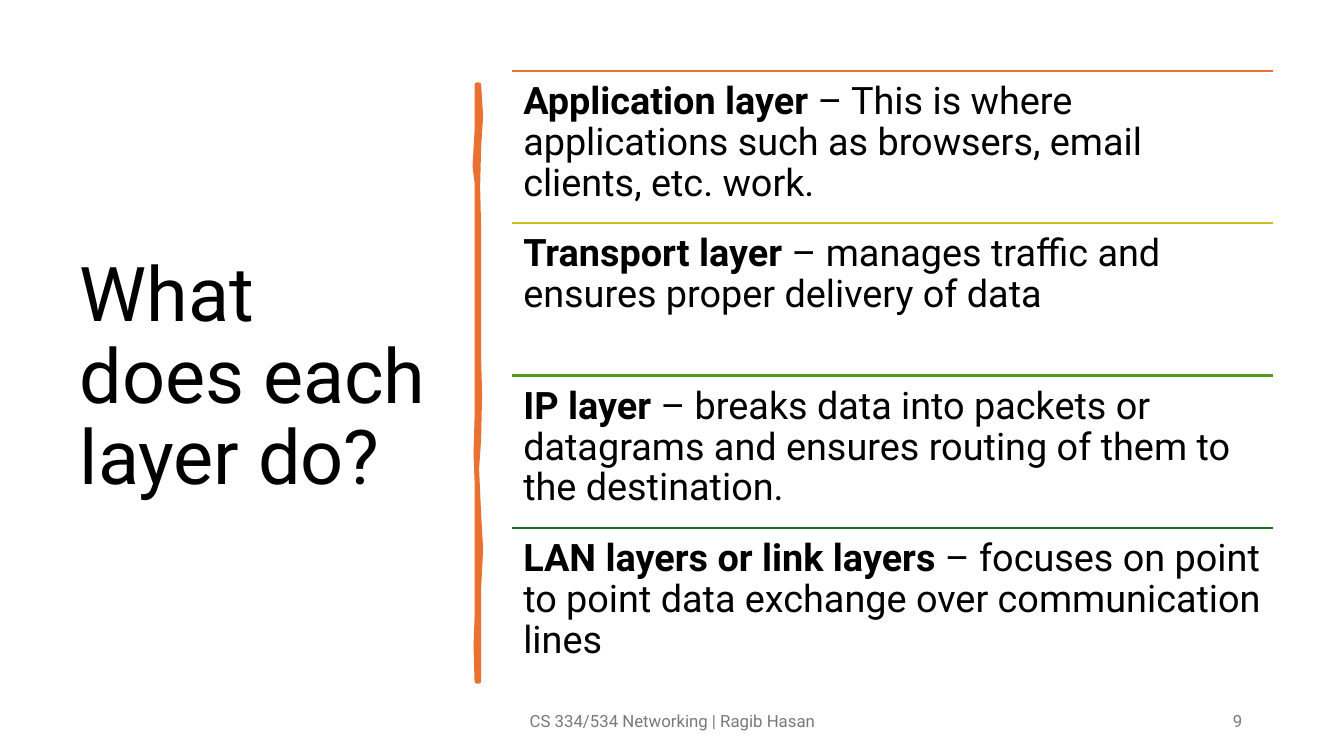
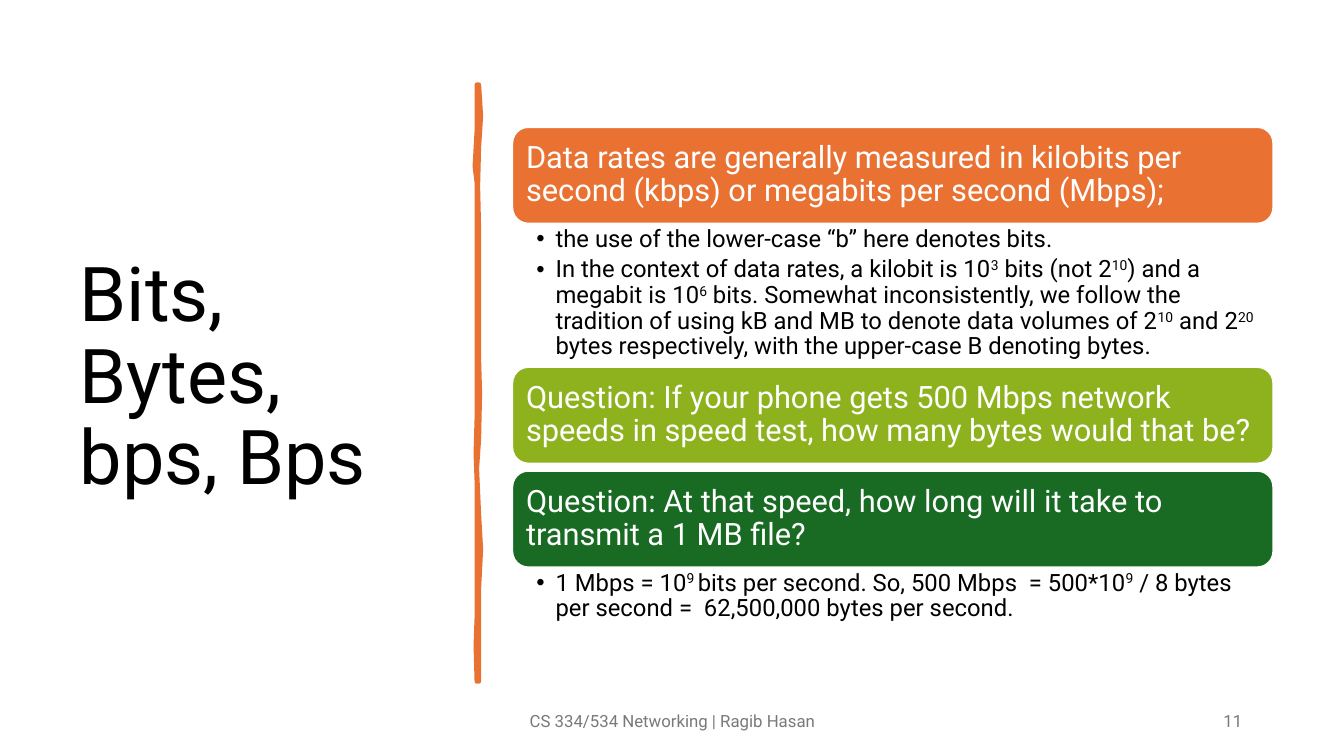
from lxml.etree import SubElement
from pptx import Presentation
from pptx.dml.color import RGBColor
from pptx.enum.shapes import MSO_CONNECTOR, MSO_SHAPE
from pptx.enum.text import MSO_ANCHOR, MSO_AUTO_SIZE, PP_ALIGN
from pptx.oxml.ns import qn
from pptx.util import Inches, Pt

FONT = "Roboto"
BLACK, WHITE, GREY = "000000", "FFFFFF", "797979"
ORANGE, YELLOW, LIME, GREEN, DARK_GREEN = "E97132", "CBC11E", "8EB21E", "56991D", "196B24"
FOOTER = "CS 334/534 Networking | Ragib Hasan"
TITLE_BOX = (0.69, 0.7, 3.74, 6.11)
CONTENT_LEFT, CONTENT_WIDTH = 5.08, 7.55

# Outline of the hand-drawn divider: down the right edge, up the left edge
DIVIDER = [
    (4.75, 0.84), (4.77, 1.15), (4.75, 1.46), (4.74, 1.85), (4.75, 2.26),
    (4.75, 2.94), (4.75, 3.56), (4.76, 3.9), (4.75, 4.36), (4.73, 4.65),
    (4.75, 5.1), (4.77, 5.45), (4.75, 5.84), (4.75, 6.76),
    (4.73, 6.76), (4.72, 6.4), (4.73, 6.13), (4.73, 4.77), (4.72, 4.5),
    (4.73, 4.15), (4.73, 1.81), (4.71, 1.65), (4.73, 1.3), (4.73, 0.84),
]

LAYERS = [
    ("Application layer", " – This is where applications such as browsers, email "
     "clients, etc. work.", ORANGE),
    ("Transport layer", " – manages traffic and ensures proper delivery of data", YELLOW),
    ("IP layer", " – breaks data into packets or datagrams and ensures routing of "
     "them to the destination.", GREEN),
    ("LAN layers or link layers", " – focuses on point to point data exchange over "
     "communication lines", DARK_GREEN),
]

# Heading, colour, bullets, height of bullets or of the gap below.
# Text between carets is superscript.
TOPICS = [
    ("Data rates are generally measured in kilobits per second (kbps) or megabits "
     "per second (Mbps);", ORANGE,
     ["the use of the lower-case “b” here denotes bits.",
      "In the context of data rates, a kilobit is 10^3^ bits (not 2^10^) and a megabit "
      "is 10^6^ bits. Somewhat inconsistently, we follow the tradition of using kB and "
      "MB to denote data volumes of 2^10^ and 2^20^ bytes respectively, with the "
      "upper-case B denoting bytes."], 1.42),
    ("Question: If your phone gets 500 Mbps network speeds in speed test, how many "
     "bytes would that be?", LIME, [], 0.07),
    ("Question: At that speed, how long will it take to transmit a 1 MB file?",
     DARK_GREEN,
     ["1 Mbps = 10^9 ^bits per second. So, 500 Mbps  = 500*10^9^ / 8 bytes per second "
      "=  62,500,000 bytes per second."], 0.59),
]


def rgb(value):
    return RGBColor.from_string(value)


def inches(*values):
    return [Inches(v) for v in values]


def set_frame(tf, insets=(0.1, 0.05, 0.1, 0.05), anchor=MSO_ANCHOR.TOP):
    tf.word_wrap = True
    tf.auto_size = MSO_AUTO_SIZE.NONE
    tf.vertical_anchor = anchor
    tf.margin_left, tf.margin_top, tf.margin_right, tf.margin_bottom = inches(*insets)


def add_text(p, text, size=18, color=BLACK, bold=False, align=PP_ALIGN.LEFT,
             line=0.9, after=0):
    """Append text to a paragraph; parts between carets become superscript."""
    p.alignment, p.line_spacing, p.space_after = align, line, Pt(after)
    for i, part in enumerate(text.split("^")):
        r = p.add_run()
        r.text = part
        r.font.name, r.font.size, r.font.bold = FONT, Pt(size), bold
        r.font.color.rgb = rgb(color)
        if i % 2:
            r.font._element.set("baseline", "30000")


def add_box(s, box, **frame):
    tf = s.shapes.add_textbox(*inches(*box)).text_frame
    set_frame(tf, **frame)
    return tf


def add_bullet(p, indent=0.19):
    pPr = p._p.get_or_add_pPr()
    pPr.set("marL", str(Inches(indent)))
    pPr.set("indent", str(-Inches(indent)))
    SubElement(pPr, qn("a:buFont")).set("typeface", "Arial")
    SubElement(pPr, qn("a:buChar")).set("char", "•")


def add_divider(s):
    points = [inches(x, y) for x, y in DIVIDER]
    builder = s.shapes.build_freeform(*points[0])
    builder.add_line_segments(points[1:], close=True)
    sp = builder.convert_to_shape()
    sp.shadow.inherit = False
    sp.fill.solid()
    sp.fill.fore_color.rgb = sp.line.color.rgb = rgb(ORANGE)
    sp.line.width = Pt(3.25)
    SubElement(sp.line._get_or_add_ln(), qn("a:round"))


def add_footer(s, number):
    for box, text, align in [((4.42, 6.95, 4.5, 0.4), FOOTER, PP_ALIGN.CENTER),
                             ((9.42, 6.95, 3, 0.4), number, PP_ALIGN.RIGHT)]:
        tf = add_box(s, box, anchor=MSO_ANCHOR.MIDDLE)
        add_text(tf.paragraphs[0], text, size=12, color=GREY, align=align,
                 line=1, after=6)


def add_slide(prs, title, number):
    """Start a slide with the shared title, divider and footer."""
    s = prs.slides.add_slide(prs.slide_layouts[5])
    sp = s.shapes.title
    sp.left, sp.top, sp.width, sp.height = inches(*TITLE_BOX)
    set_frame(sp.text_frame, anchor=MSO_ANCHOR.MIDDLE)
    add_text(sp.text_frame.paragraphs[0], title, size=54)
    add_divider(s)
    add_footer(s, number)
    return s


def add_rule(s, left, top, width, color):
    line = s.shapes.add_connector(MSO_CONNECTOR.STRAIGHT,
                                  *inches(left, top, left + width, top))
    line.line.color.rgb, line.line.width = rgb(color), Pt(1.5)
    SubElement(line._element.spPr, qn("a:effectLst"))


def add_layer_list(s, left, top, width, height):
    """Equal rows, each a coloured rule above its text."""
    row = height / len(LAYERS)
    for i, (name, role, color) in enumerate(LAYERS):
        y = top + i * row
        add_rule(s, left, y, width, color)
        p = add_box(s, (left, y, width, row), insets=(0.11,) * 4).paragraphs[0]
        add_text(p, name, size=27, bold=True, after=9.5)
        add_text(p, role, size=27, after=9.5)


def add_heading(s, box, text, color):
    sp = s.shapes.add_shape(MSO_SHAPE.ROUNDED_RECTANGLE, *inches(*box))
    sp.shadow.inherit = False
    sp.fill.solid()
    sp.fill.fore_color.rgb = rgb(color)
    sp.line.color.rgb, sp.line.width = rgb(WHITE), Pt(1.5)
    set_frame(sp.text_frame, insets=(0.09,) * 4, anchor=MSO_ANCHOR.MIDDLE)
    add_text(sp.text_frame.paragraphs[0], text, size=22, color=WHITE, after=7.7)


def add_topic_stack(s, left, top, width, heading_height=0.96):
    """Headings stacked downwards, some followed by bullets."""
    y = top
    for heading, color, bullets, below in TOPICS:
        add_heading(s, (left, y, width, heading_height), heading, color)
        y += heading_height
        if bullets:
            tf = add_box(s, (left, y, width, below), insets=(0.24, 0.03, 0.17, 0.03))
            for i, bullet in enumerate(bullets):
                p = tf.add_paragraph() if i else tf.paragraphs[0]
                add_text(p, bullet, size=17, after=3.4)
                add_bullet(p)
        y += below


def main():
    prs = Presentation()
    prs.slide_width, prs.slide_height = inches(13.33, 7.5)

    s = add_slide(prs, "What does each layer do?", "9")
    add_layer_list(s, CONTENT_LEFT, 0.7, CONTENT_WIDTH, 6.05)

    s = add_slide(prs, "Bits, Bytes, bps, Bps", "11")
    add_topic_stack(s, CONTENT_LEFT, 1.26, CONTENT_WIDTH)

    prs.save("out.pptx")


if __name__ == "__main__":
    main()
